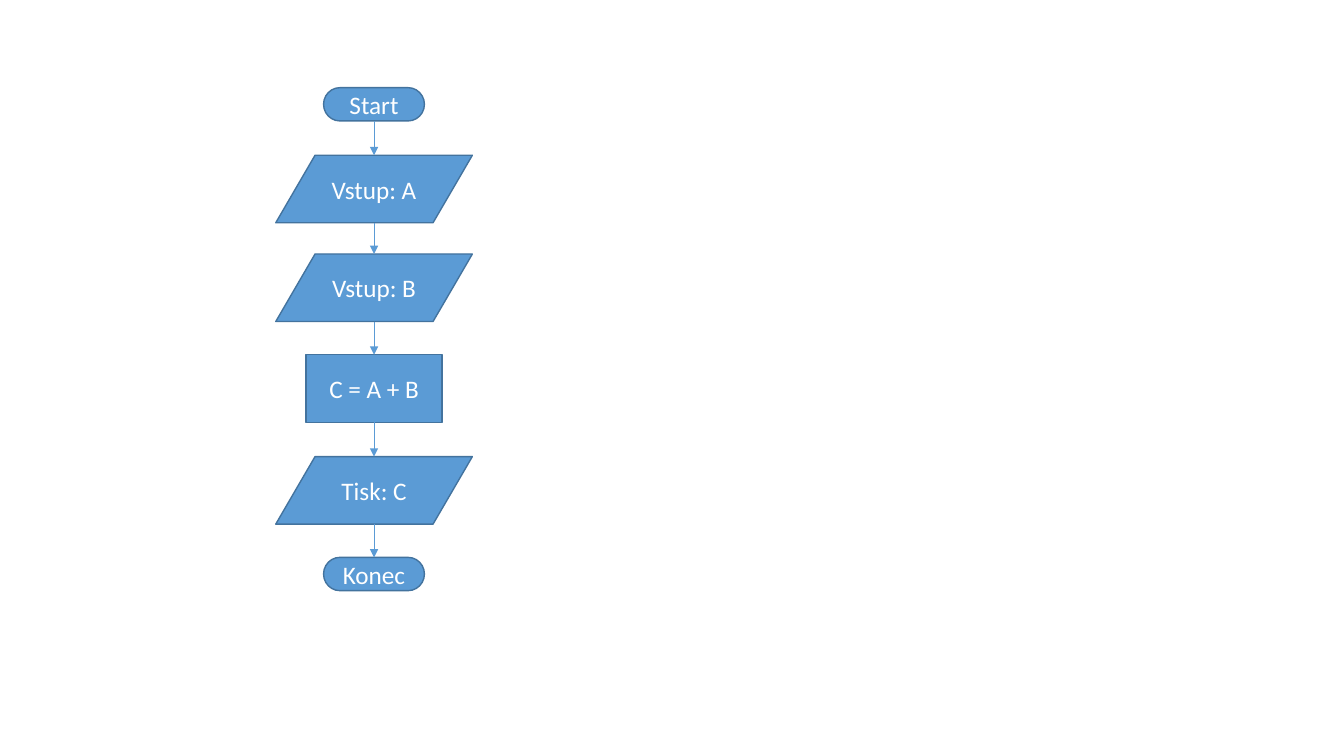
from lxml import etree
from pptx import Presentation
from pptx.dml.color import RGBColor
from pptx.enum import shapes, text
from pptx.oxml.ns import qn
from pptx.util import Inches, Pt

COLORS = {"fill": "5B9BD5", "outline": "43739E", "arrow": "5B9BD5", "text": "FFFFFF"}
CENTER_X = 3.71

# kind: (preset shape, width, height, sides can be joined at their middles)
KINDS = {
    "terminal": (shapes.MSO_SHAPE.FLOWCHART_TERMINATOR, 1.0, 0.33, True),
    "data": (shapes.MSO_SHAPE.FLOWCHART_DATA, 1.95, 0.67, False),
    "process": (shapes.MSO_SHAPE.FLOWCHART_PROCESS, 1.35, 0.67, True),
}
# (kind, label, top)
STEPS = [
    ("terminal", "Start", 0.87),
    ("data", "Vstup: A", 1.54),
    ("data", "Vstup: B", 2.52),
    ("process", "C = A + B", 3.52),
    ("data", "Tisk: C", 4.53),
    ("terminal", "Konec", 5.53),
]
FONT = {"name": "Calibri", "size": Pt(18)}


def color(name):
    return RGBColor.from_string(COLORS[name])


def add_step(slide, kind, label, top):
    preset, width, height, _ = KINDS[kind]
    shape = slide.shapes.add_shape(
        preset, Inches(CENTER_X - width / 2), Inches(top), Inches(width), Inches(height))
    shape.shadow.inherit = False
    shape.fill.solid()
    shape.fill.fore_color.rgb = color("fill")
    shape.line.color.rgb = color("outline")
    shape.line.width = Pt(1)

    frame = shape.text_frame
    frame.word_wrap = True
    frame.vertical_anchor = text.MSO_ANCHOR.MIDDLE
    paragraph = frame.paragraphs[0]
    paragraph.alignment = text.PP_ALIGN.CENTER
    run = paragraph.add_run()
    run.text = label
    for name, value in FONT.items():
        setattr(run.font, name, value)
    run.font.color.rgb = color("text")
    return shape


def add_arrow(slide, upper, lower, join_upper, join_lower):
    """Point from the bottom of one step to the top of the next."""
    x = Inches(CENTER_X)
    arrow = slide.shapes.add_connector(
        shapes.MSO_CONNECTOR.STRAIGHT, x, upper.top + upper.height, x, lower.top)
    if join_upper:
        arrow.begin_connect(upper, 2)
    if join_lower:
        arrow.end_connect(lower, 0)
    arrow.line.color.rgb = color("arrow")
    arrow.line.width = Pt(0.5)
    properties = arrow.line._get_or_add_ln()
    etree.SubElement(properties, qn("a:tailEnd"), type="triangle")
    etree.SubElement(arrow._element.spPr, qn("a:effectLst"))


def main():
    presentation = Presentation()
    presentation.slide_width = Inches(13.33)
    presentation.slide_height = Inches(7.5)
    slide = presentation.slides.add_slide(presentation.slide_layouts[6])

    steps = [(add_step(slide, *step), KINDS[step[0]][3]) for step in STEPS]
    for (upper, join_upper), (lower, join_lower) in zip(steps, steps[1:]):
        add_arrow(slide, upper, lower, join_upper, join_lower)

    presentation.save("out.pptx")


if __name__ == "__main__":
    main()
